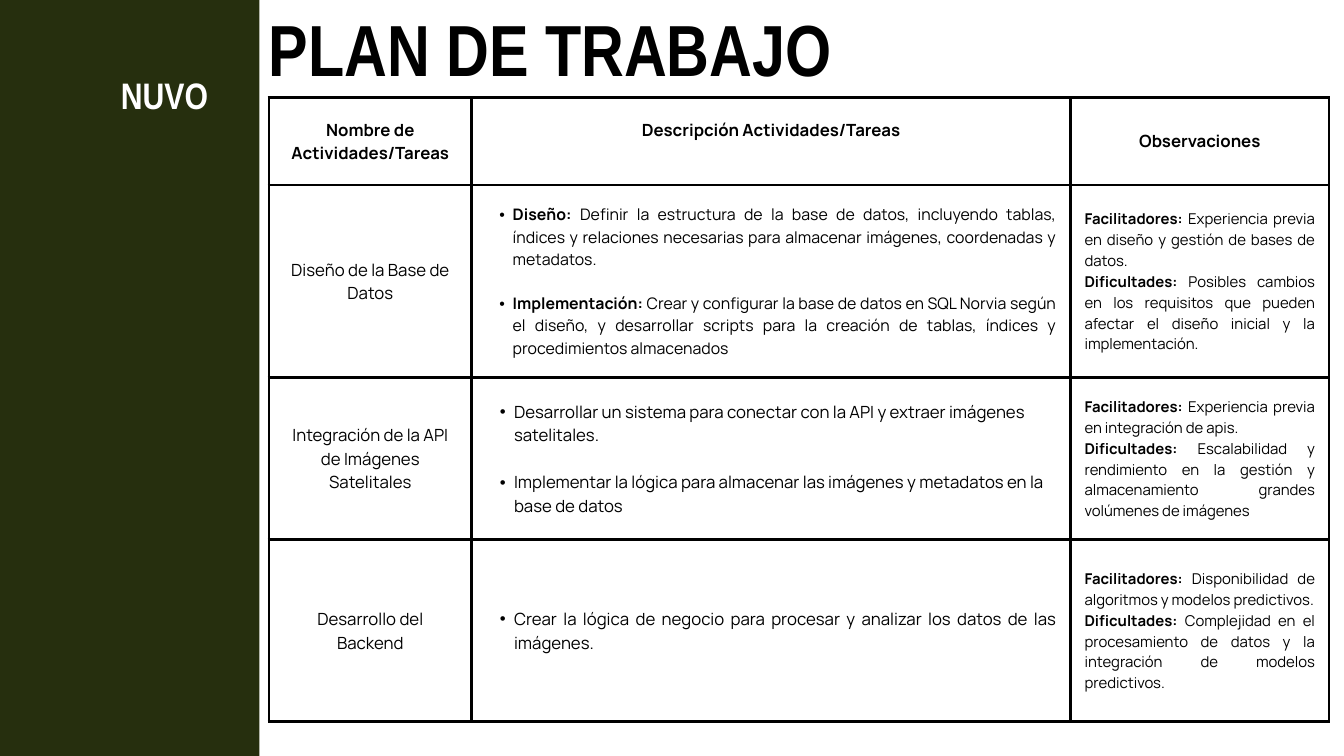
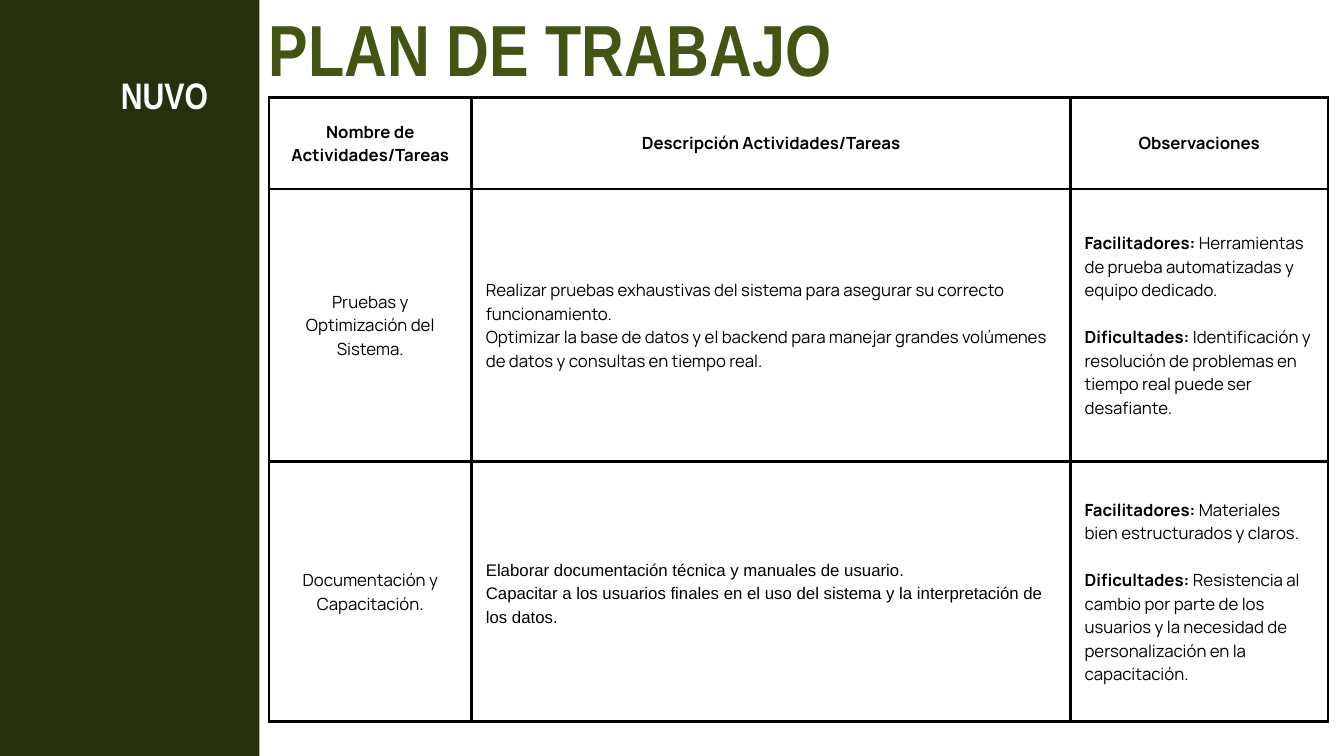
from dataclasses import dataclass

from lxml import etree
from pptx import Presentation
from pptx.dml.color import RGBColor
from pptx.enum.shapes import MSO_SHAPE
from pptx.enum.text import MSO_ANCHOR, MSO_AUTO_SIZE, PP_ALIGN
from pptx.oxml.ns import qn
from pptx.util import Inches, Pt


@dataclass(frozen=True)
class Theme:
    black: RGBColor = RGBColor(0x00, 0x00, 0x00)
    white: RGBColor = RGBColor(0xFF, 0xFF, 0xFF)
    band: RGBColor = RGBColor(0x26, 0x2F, 0x0E)
    olive: RGBColor = RGBColor(0x43, 0x54, 0x15)
    display: str = "Arial Narrow"
    body: str = "Manrope"
    plain: str = "Arial"
    title: float = 77.5
    label: float = 39.5
    text: float = 18
    list: float = 17
    note: float = 16
    leading: float = 1.4
    border: float = 3
    margin: float = 0.21


T = Theme()
LEFT, CENTER, JUSTIFY = PP_ALIGN.LEFT, PP_ALIGN.CENTER, PP_ALIGN.JUSTIFY

# Cell styles; "gap" leaves one empty line between paragraphs
BASE = dict(size=T.text, font=T.body, bold=False, align=LEFT, indent=0, gap=False, lift=0)
HEAD = BASE | dict(bold=True, align=CENTER)
HEAD_HIGH = HEAD | dict(lift=0.33)
NAME = BASE | dict(align=CENTER)
BULLETS = BASE | dict(indent=0.21, gap=True)
BULLETS_JUST = BULLETS | dict(align=JUSTIFY)
BULLETS_SMALL = BULLETS_JUST | dict(size=T.list, indent=0.2)
NOTES_SMALL = BASE | dict(size=T.note, align=JUSTIFY)
NOTES = BASE | dict(gap=True)
ARIAL = BASE | dict(font=T.plain)

HEADINGS = ("Nombre de Actividades/Tareas", "Descripción Actividades/Tareas", "Observaciones")

SLIDES = [
    dict(
        title_color=T.black,
        columns=(3.02, 8.91, 3.85),
        heights=(1.3, 2.87, 2.41, 2.71),
        head_styles=(HEAD, HEAD_HIGH, HEAD),
        rows=[
            [(NAME, ["Diseño de la Base de Datos"]),
             (BULLETS_SMALL, [
                 "Diseño: Definir la estructura de la base de datos, incluyendo tablas, índices y "
                 "relaciones necesarias para almacenar imágenes, coordenadas y metadatos.",
                 "Implementación: Crear y configurar la base de datos en SQL Norvia según el diseño, "
                 "y desarrollar scripts para la creación de tablas, índices y procedimientos "
                 "almacenados"]),
             (NOTES_SMALL, [
                 "Facilitadores: Experiencia previa en diseño y gestión de bases de datos.",
                 "Dificultades: Posibles cambios en los requisitos que pueden afectar el diseño "
                 "inicial y la implementación."])],
            [(NAME, ["Integración de la API de Imágenes Satelitales"]),
             (BULLETS, [
                 "Desarrollar un sistema para conectar con la API y extraer imágenes satelitales.",
                 "Implementar la lógica para almacenar las imágenes y metadatos en la base de datos"]),
             (NOTES_SMALL, [
                 "Facilitadores: Experiencia previa en integración de apis.",
                 "Dificultades: Escalabilidad y rendimiento en la gestión y almacenamiento grandes "
                 "volúmenes de imágenes"])],
            [(NAME, ["Desarrollo del Backend"]),
             (BULLETS_JUST, [
                 "Crear la lógica de negocio para procesar y analizar los datos de las imágenes."]),
             (NOTES_SMALL, [
                 "Facilitadores: Disponibilidad de algoritmos y modelos predictivos.",
                 "Dificultades: Complejidad en el procesamiento de datos y la integración de "
                 "modelos predictivos."])],
        ],
    ),
    dict(
        title_color=T.olive,
        columns=(3.02, 8.91, 3.83),
        heights=(1.36, 4.06, 3.87),
        head_styles=(HEAD, HEAD, HEAD),
        rows=[
            [(NAME, ["Pruebas y Optimización del Sistema."]),
             (BASE, [
                 "Realizar pruebas exhaustivas del sistema para asegurar su correcto funcionamiento.",
                 "Optimizar la base de datos y el backend para manejar grandes volúmenes de datos y "
                 "consultas en tiempo real."]),
             (NOTES, [
                 "Facilitadores: Herramientas de prueba automatizadas y equipo dedicado.",
                 "Dificultades: Identificación y resolución de problemas en tiempo real puede ser "
                 "desafiante."])],
            [(NAME, ["Documentación y Capacitación."]),
             (ARIAL, [
                 "Elaborar documentación técnica y manuales de usuario.",
                 "Capacitar a los usuarios finales en el uso del sistema y la interpretación de "
                 "los datos."]),
             (NOTES, [
                 "Facilitadores: Materiales bien estructurados y claros.",
                 "Dificultades: Resistencia al cambio por parte de los usuarios y la necesidad de "
                 "personalización en la capacitación."])],
        ],
    ),
]


def put_display_text(shape, text, size, leading, color, box):
    """Place a one-line heading in the display face, without insets."""
    for side, value in zip(("left", "top", "width", "height"), box):
        setattr(shape, side, Inches(value))
    tf = shape.text_frame
    frame = dict(margin_left=0, margin_top=0, margin_right=0, margin_bottom=0, word_wrap=True,
                 auto_size=MSO_AUTO_SIZE.NONE, vertical_anchor=MSO_ANCHOR.TOP)
    for key, value in frame.items():
        setattr(tf, key, value)
    p = tf.paragraphs[0]
    p.alignment, p.line_spacing = LEFT, Pt(leading)
    r = p.add_run()
    r.text = text
    r.font.name, r.font.size, r.font.bold = T.display, Pt(size), True
    r.font.color.rgb = color


def fill_cell(cell, style, texts):
    """Write the paragraphs, with any lead-in up to a colon in bold, and draw the borders."""
    cell.vertical_anchor = MSO_ANCHOR.MIDDLE
    for side in ("left", "top", "right", "bottom"):
        setattr(cell, f"margin_{side}", Inches(T.margin))
    cell.margin_bottom = Inches(T.margin + style["lift"])
    leading = Pt(style["size"] * T.leading)

    for i, text in enumerate(texts):
        tf = cell.text_frame
        p = tf.add_paragraph() if i else tf.paragraphs[0]
        p.alignment, p.line_spacing = style["align"], leading
        if i and style["gap"]:
            p.space_before = leading
        if style["indent"]:
            pPr = p._p.get_or_add_pPr()
            pPr.set("marL", str(Inches(2 * style["indent"])))
            pPr.set("indent", str(-Inches(style["indent"])))
            etree.SubElement(pPr, qn("a:buFont"), typeface=T.plain)
            etree.SubElement(pPr, qn("a:buChar"), char="•")
        lead, colon, rest = text.partition(":")
        parts = [(lead + colon, True), (rest, False)] if colon else [(text, style["bold"])]
        for part, bold in parts:
            r = p.add_run()
            r.text = part
            r.font.name, r.font.size, r.font.bold = style["font"], Pt(style["size"]), bold
            r.font.color.rgb = T.black

    cell.fill.background()
    tcPr = cell._tc.get_or_add_tcPr()
    for i, edge in enumerate(("lnL", "lnR", "lnT", "lnB")):
        ln = etree.Element(qn(f"a:{edge}"), w=str(Pt(T.border)))
        solid = etree.SubElement(ln, qn("a:solidFill"))
        etree.SubElement(solid, qn("a:srgbClr"), val=str(T.black))
        tcPr.insert(i, ln)


prs = Presentation()
prs.slide_width, prs.slide_height = Inches(20), Inches(11.25)

for plan in SLIDES:
    s = prs.slides.add_slide(prs.slide_layouts[5])

    band = s.shapes.add_shape(MSO_SHAPE.RECTANGLE, Inches(-0.26), Inches(-0.78),
                              Inches(4.12), Inches(12.81))
    band.shadow.inherit = False
    band.fill.solid()
    band.fill.fore_color.rgb = T.band
    band.line.fill.background()

    rows = [[(style, [text]) for style, text in zip(plan["head_styles"], HEADINGS)], *plan["rows"]]
    table = s.shapes.add_table(len(rows), len(HEADINGS), Inches(4), Inches(1.45),
                               Inches(sum(plan["columns"])), Inches(sum(plan["heights"]))).table
    table.first_row = table.horz_banding = False
    for column, width in zip(table.columns, plan["columns"]):
        column.width = Inches(width)
    for row, height, contents in zip(table.rows, plan["heights"], rows):
        row.height = Inches(height)
        for cell, (style, texts) in zip(row.cells, contents):
            fill_cell(cell, style, texts)

    put_display_text(s.shapes.title, "PLAN DE TRABAJO", T.title, 76, plan["title_color"],
                     (4, 0.3, 12.71, 1.13))
    put_display_text(s.shapes.add_textbox(0, 0, 0, 0), "NUVO", T.label, 38.7, T.white,
                     (1.8, 1.2, 1.64, 0.59))

prs.save("out.pptx")
